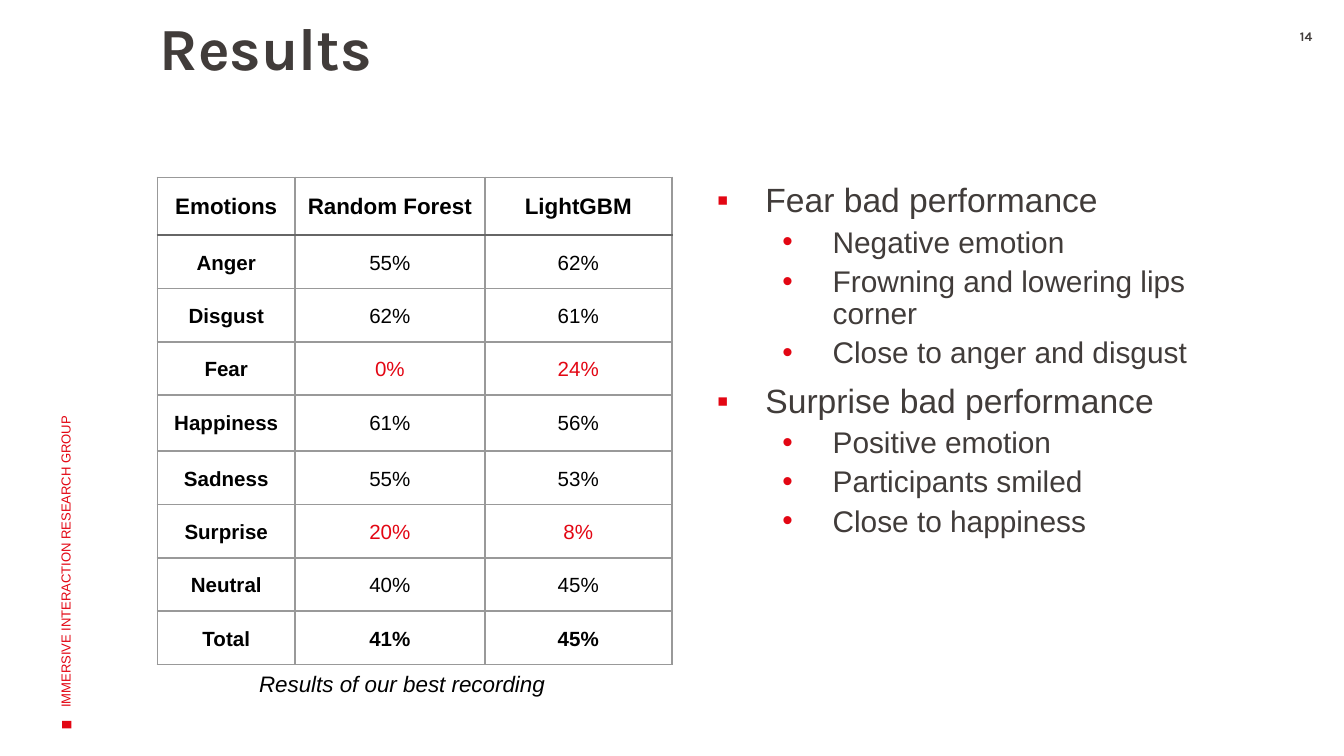
"""Build the results slide: a score table beside notes on weak emotions."""
from dataclasses import dataclass

from lxml import etree
from pptx import Presentation
from pptx.dml.color import RGBColor
from pptx.enum.shapes import MSO_SHAPE
from pptx.enum.text import MSO_ANCHOR, PP_ALIGN
from pptx.oxml.ns import qn
from pptx.util import Pt

RECT = MSO_SHAPE.RECTANGLE
TOP, MIDDLE = MSO_ANCHOR.TOP, MSO_ANCHOR.MIDDLE
LEFT, CENTER = PP_ALIGN.LEFT, PP_ALIGN.CENTER

TITLE = "Results"
PAGE = "14"
GROUP = "IMMERSIVE INTERACTION RESEARCH GROUP"
CAPTION = "Results of our best recording"
SCORES = [
    ("Emotions", "Random Forest", "LightGBM"),
    ("Anger", "55%", "62%"),
    ("Disgust", "62%", "61%"),
    ("Fear", "0%", "24%"),
    ("Happiness", "61%", "56%"),
    ("Sadness", "55%", "53%"),
    ("Surprise", "20%", "8%"),
    ("Neutral", "40%", "45%"),
    ("Total", "41%", "45%"),
]
WEAK = ("Fear", "Surprise")
NOTES = [
    ("Fear bad performance", [
        "Negative emotion",
        "Frowning and lowering lips corner",
        "Close to anger and disgust",
    ]),
    ("Surprise bad performance", [
        "Positive emotion",
        "Participants smiled",
        "Close to happiness",
    ]),
]
WIDTHS = (73.7, 101.7, 100.2)
HEIGHTS = (31, 28.6, 28.6, 28.6, 30, 28.6, 28.6, 28.6, 28.6)


@dataclass(frozen=True)
class Theme:
    """Hold the colours, fonts and type sizes."""
    ink: str = "413C3A"
    red: str = "E30613"
    black: str = "000000"
    grid: str = "999999"
    rule: str = "666666"
    head: str = "Karla"
    body: str = "Arial"
    title: float = 32
    point: float = 18
    sub: float = 16
    label: float = 12
    cell: float = 11
    small: float = 7


THEME = Theme()


def style(para, size, color, face=THEME.body, bold=False, italic=False):
    """Set the font of a paragraph."""
    font = para.font
    font.name, font.size = face, Pt(size)
    font.bold, font.italic = bold, italic
    font.color.rgb = RGBColor.from_string(color)


def add_box(slide, place, pads=(7.2, 3.6, 7.2, 3.6), anchor=TOP):
    """Add a wrapping text box and return it."""
    box = slide.shapes.add_textbox(*map(Pt, place))
    frame = box.text_frame
    frame.word_wrap, frame.vertical_anchor = True, anchor
    (frame.margin_left, frame.margin_top,
     frame.margin_right, frame.margin_bottom) = map(Pt, pads)
    return box


def write(box, text, size, color, align=LEFT, **look):
    """Fill a box with one styled paragraph and return it."""
    para = box.text_frame.paragraphs[0]
    para.text, para.alignment = text, align
    style(para, size, color, **look)
    return para


def add_item(frame, text, deep, first):
    """Add one bulleted note."""
    para = frame.paragraphs[0] if first else frame.add_paragraph()
    para.text, para.level, para.line_spacing = text, int(deep), 0.9
    if not first:
        para.space_before = Pt(3.8 if deep else 7.5)
    props = para._p.get_or_add_pPr()
    props.set("marL", str(Pt(72 if deep else 36)))
    props.set("indent", str(-Pt(27 if deep else 26)))
    tint = etree.SubElement(props, qn("a:buClr"))
    etree.SubElement(tint, qn("a:srgbClr"), val=THEME.red)
    etree.SubElement(props, qn("a:buFont"), typeface=THEME.body)
    etree.SubElement(props, qn("a:buChar"), char="•" if deep else "▪")
    style(para, THEME.sub if deep else THEME.point, THEME.ink)


def add_edge(cell, side, color, width):
    """Draw one border of a cell."""
    line = etree.SubElement(cell._tc.get_or_add_tcPr(), qn("a:ln" + side),
                            w=str(Pt(width)))
    fill = etree.SubElement(line, qn("a:solidFill"))
    etree.SubElement(fill, qn("a:srgbClr"), val=color)


def fill_cell(cell, text, row, col):
    """Write and style one table cell."""
    cell.margin_left = cell.margin_right = Pt(5)
    cell.margin_top, cell.margin_bottom = Pt(6.7), Pt(5)
    for side in "LRTB":
        strong = (row, side) in ((0, "B"), (1, "T"))
        add_edge(cell, side, THEME.rule if strong else THEME.grid,
                 1.5 if strong else 1)
    cell.fill.background()
    weak = col > 0 and SCORES[row][0] in WEAK
    para = cell.text_frame.paragraphs[0]
    para.text, para.alignment, para.line_spacing = text, CENTER, 1.17
    style(para, THEME.cell if row else THEME.label,
          THEME.red if weak else THEME.black,
          bold=row in (0, len(SCORES) - 1) or col == 0)


def add_scores(slide):
    """Add the score table."""
    table = slide.shapes.add_table(
        len(SCORES), len(WIDTHS), Pt(84.4), Pt(95),
        Pt(sum(WIDTHS)), Pt(sum(HEIGHTS))).table
    table.first_row = table.horz_banding = False
    for col, width in zip(table.columns, WIDTHS):
        col.width = Pt(width)
    for row, height in zip(table.rows, HEIGHTS):
        row.height = Pt(height)
    for row, texts in enumerate(SCORES):
        for col, text in enumerate(texts):
            fill_cell(table.cell(row, col), text, row, col)


def main():
    """Build and save the slide."""
    deck = Presentation()
    deck.slide_width, deck.slide_height = Pt(720), Pt(405)
    slide = deck.slides.add_slide(deck.slide_layouts[6])

    mark = slide.shapes.add_shape(RECT, Pt(33.8), Pt(385.7), Pt(4), Pt(5))
    mark.rotation, mark.shadow.inherit = 270, False
    mark.fill.solid()
    mark.fill.fore_color.rgb = RGBColor.from_string(THEME.red)
    mark.line.fill.background()

    notes = add_box(slide, (359.7, 95, 320, 266), (14.4, 3.6, 7.2, 3.6))
    items = [(text, deep) for point, subs in NOTES
             for text, deep in [(point, False)] + [(sub, True) for sub in subs]]
    for spot, (text, deep) in enumerate(items):
        add_item(notes.text_frame, text, deep, spot == 0)

    page = add_box(slide, (679.7, 15, 40, 13), (7.2, 0, 7.2, 0))
    write(page, PAGE, THEME.small, THEME.ink, CENTER, face=THEME.head, bold=True)

    title = add_box(slide, (71.2, 10, 320, 84), (14.4, 0, 5.8, 3.6))
    para = write(title, TITLE, THEME.title, THEME.ink, face=THEME.head, bold=True)
    para.line_spacing = 0.9

    add_scores(slide)

    group = add_box(slide, (-96.5, 218.7, 263, 72), anchor=MIDDLE)
    group.rotation = 270
    write(group, GROUP, THEME.small, THEME.red)

    caption = add_box(slide, (103, 355.7, 225, 22))
    write(caption, CAPTION, THEME.label, THEME.black, CENTER, italic=True)

    deck.save("out.pptx")


if __name__ == "__main__":
    main()
